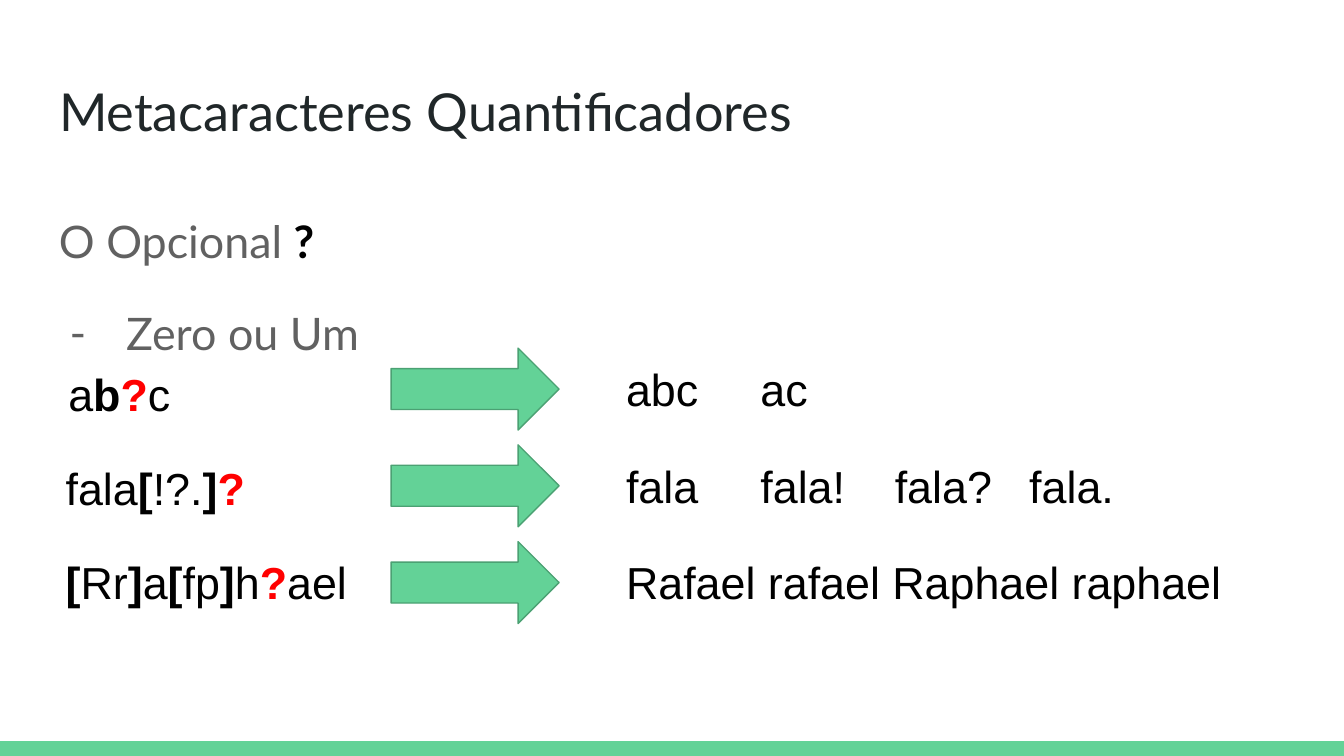
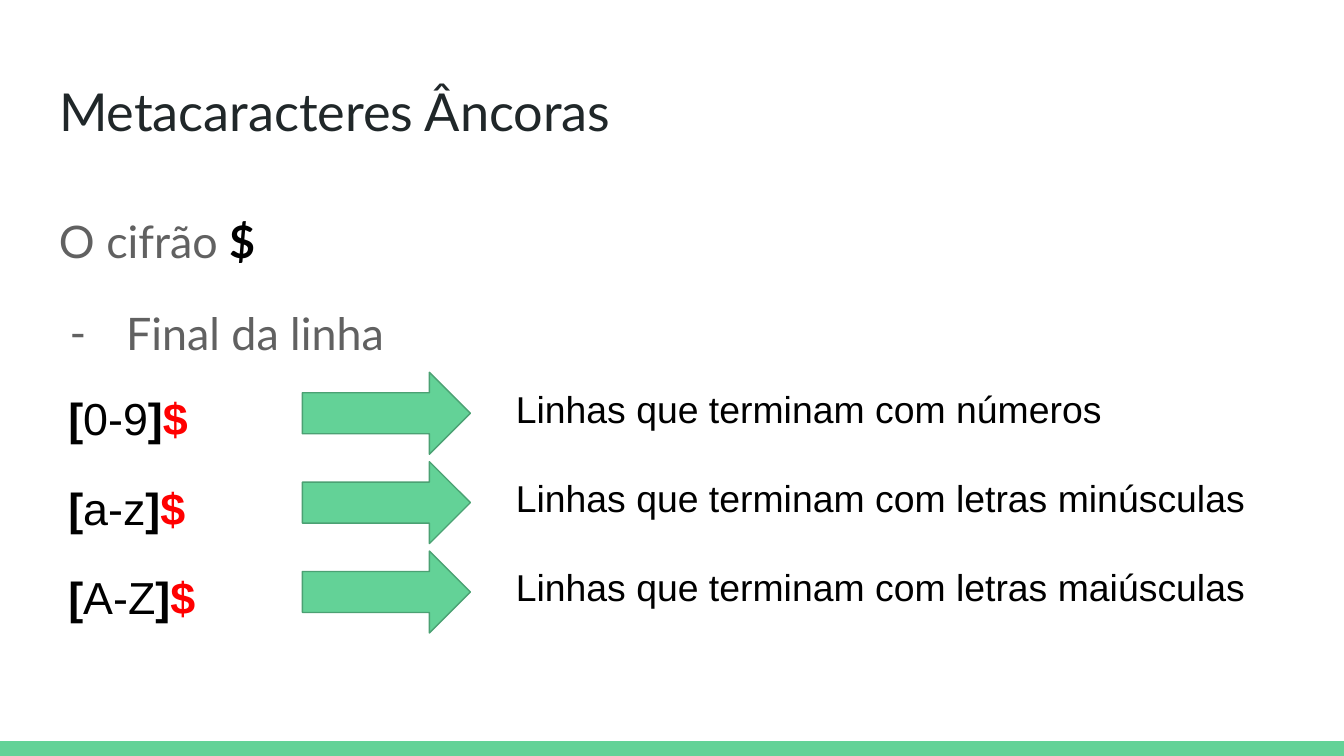
from dataclasses import dataclass

from lxml.etree import SubElement
from pptx import Presentation
from pptx.dml.color import RGBColor
from pptx.enum.shapes import MSO_SHAPE
from pptx.enum.text import MSO_ANCHOR, MSO_AUTO_SIZE, PP_ALIGN
from pptx.oxml.ns import qn
from pptx.util import Inches, Pt


@dataclass(frozen=True)
class Theme:
    green: RGBColor = RGBColor.from_string("63D297")
    green_edge: RGBColor = RGBColor.from_string("4BA173")
    title: RGBColor = RGBColor.from_string("202729")
    grey: RGBColor = RGBColor.from_string("616161")
    black: RGBColor = RGBColor.from_string("000000")
    red: RGBColor = RGBColor.from_string("FF0000")
    heading_font: str = "Lato"
    example_font: str = "Arial"
    title_size: int = 28
    text_size: int = 24
    small_size: int = 20


@dataclass(frozen=True)
class Example:
    pattern: list
    result: str
    left: float = 0.41
    width: float = 1.85


@dataclass(frozen=True)
class Grid:
    """Columns and row pitches of the pattern, arrow, result rows."""
    top: float
    pitch: float
    pattern_pitch: float
    arrow_left: float
    result_left: float
    result_width: float
    result_size: int


T = Theme()
SLIDE_W = 10
SLIDE_H = SLIDE_W * 9 / 16
BAND_H = 0.11
ROW_H = 0.61
ARROW_W = 1.25
PATTERN_H, PATTERN_DROP = 0.52, 0.04
PLAIN, BOLD, META = (T.black, False), (T.black, True), (T.red, True)


def inches(*box):
    return [Inches(v) for v in box]


def format_run(r, font, size, color, bold=False):
    r.font.name, r.font.size, r.font.bold = font, Pt(size), bold
    r.font.color.rgb = color


def add_runs(p, parts, font, size):
    for text, (color, bold) in parts:
        r = p.add_run()
        r.text = text
        format_run(r, font, size, color, bold)


def prepare_frame(tf):
    tf.word_wrap = True
    tf.auto_size = MSO_AUTO_SIZE.NONE
    tf.vertical_anchor = MSO_ANCHOR.TOP
    tf.margin_left = tf.margin_right = Inches(0.1)
    tf.margin_top = tf.margin_bottom = Inches(0.1)
    return tf


def add_text(s, box):
    return prepare_frame(s.shapes.add_textbox(*inches(*box)).text_frame)


def add_filled(s, kind, box):
    sp = s.shapes.add_shape(kind, *inches(*box))
    sp.shadow.inherit = False
    sp.fill.solid()
    sp.fill.fore_color.rgb = T.green
    return sp


def add_master_band(prs, s):
    """Draw the bottom band on a slide, then move it to the master."""
    band = add_filled(s, MSO_SHAPE.RECTANGLE,
                      (0, SLIDE_H - BAND_H, SLIDE_W, BAND_H))
    band.line.fill.background()
    prs.slide_master.shapes.element.insert(2, band.element)


def add_title(s, text, box):
    sp = s.shapes.title
    sp.left, sp.top, sp.width, sp.height = inches(*box)
    tf = prepare_frame(sp.text_frame)
    tf.text = text
    p = tf.paragraphs[0]
    p.alignment = PP_ALIGN.LEFT
    format_run(p.runs[0], T.heading_font, T.title_size, T.title)


def add_dash(p):
    pPr = p._p.get_or_add_pPr()
    pPr.set("marL", str(Inches(0.5)))
    pPr.set("indent", str(Inches(-0.42)))
    color = SubElement(pPr, qn("a:buClr"))
    SubElement(color, qn("a:srgbClr")).set("val", str(T.grey))
    SubElement(pPr, qn("a:buFont")).set("typeface", T.heading_font)
    SubElement(pPr, qn("a:buChar")).set("char", "-")


def add_definition(s, name, symbol, meaning, box):
    tf = add_text(s, box)
    head, item = tf.paragraphs[0], tf.add_paragraph()
    for p in (head, item):
        p.line_spacing = 1.15
        p.space_after = Pt(16)
    grey = (T.grey, False)
    add_runs(head, [(name + " ", grey), (symbol, BOLD)],
             T.heading_font, T.text_size)
    add_runs(item, [(meaning, grey)], T.heading_font, T.text_size)
    add_dash(item)


def add_tab_stops(p, count):
    """Set one left tab stop per inch."""
    tabs = SubElement(p._p.get_or_add_pPr(), qn("a:tabLst"))
    for n in range(1, count + 1):
        tab = SubElement(tabs, qn("a:tab"))
        tab.set("pos", str(Inches(n)))
        tab.set("algn", "l")


def add_example(s, example, grid, row):
    top = grid.top + row * grid.pitch
    pattern_top = grid.top + PATTERN_DROP + row * grid.pattern_pitch

    tf = add_text(s, (example.left, pattern_top, example.width, PATTERN_H))
    add_runs(tf.paragraphs[0], example.pattern, T.example_font, T.text_size)

    arrow = add_filled(s, MSO_SHAPE.RIGHT_ARROW,
                       (grid.arrow_left, top, ARROW_W, ROW_H))
    arrow.line.color.rgb = T.green_edge
    arrow.line.width = Pt(0.75)

    tf = add_text(s, (grid.result_left, top, grid.result_width, ROW_H))
    tf.text = example.result
    p = tf.paragraphs[0]
    for r in p.runs:
        format_run(r, T.example_font, grid.result_size, T.black)
    if "\t" in example.result:
        add_tab_stops(p, example.result.count("\t"))


def add_metacharacter_slide(prs, title, definition, examples, grid):
    s = prs.slides.add_slide(prs.slide_layouts[5])
    add_title(s, title, (0.34, 0.49, 9.32, 0.63))
    add_definition(s, *definition, (0.34, 1.43, 9.32, 3.56))
    for row, example in enumerate(examples):
        add_example(s, example, grid, row)
    return s


def line_end(chars):
    return [("[", BOLD), (chars, PLAIN), ("]", BOLD), ("$", META)]


OPTIONAL_EXAMPLES = [
    Example([("a", PLAIN), ("b", BOLD), ("?", META), ("c", PLAIN)],
            "abc\tac"),
    Example([("fala", PLAIN), ("[", BOLD), ("!?.", PLAIN), ("]", BOLD),
             ("?", META)],
            "fala\tfala!\tfala?\tfala.", 0.39, 3.75),
    Example([("[", BOLD), ("Rr", PLAIN), ("]", BOLD), ("a", PLAIN),
             ("[", BOLD), ("fp", PLAIN), ("]", BOLD), ("h", PLAIN),
             ("?", META), ("ael", PLAIN)],
            "Rafael rafael Raphael raphael", 0.39, 3.75),
]
LINE_END_EXAMPLES = [
    Example(line_end(chars), "Linhas que terminam com " + ending)
    for chars, ending in [("0-9", "números"),
                          ("a-z", "letras minúsculas"),
                          ("A-Z", "letras maiúsculas")]
]
OPTIONAL_GRID = Grid(2.59, 0.72, 0.7, 2.91, 4.56, 5.04, T.text_size)
LINE_END_PITCH = (4.1 - 2.77) / 2
LINE_END_GRID = Grid(2.77, LINE_END_PITCH, LINE_END_PITCH,
                     2.25, 3.74, 5.86, T.small_size)


def main():
    prs = Presentation()
    prs.slide_width, prs.slide_height = inches(SLIDE_W, SLIDE_H)
    s = add_metacharacter_slide(
        prs, "Metacaracteres Quantificadores",
        ("O Opcional", "?", "Zero ou Um"), OPTIONAL_EXAMPLES, OPTIONAL_GRID)
    add_master_band(prs, s)
    add_metacharacter_slide(
        prs, "Metacaracteres Âncoras",
        ("O cifrão", "$", "Final da linha"), LINE_END_EXAMPLES, LINE_END_GRID)
    prs.save("out.pptx")


if __name__ == "__main__":
    main()
